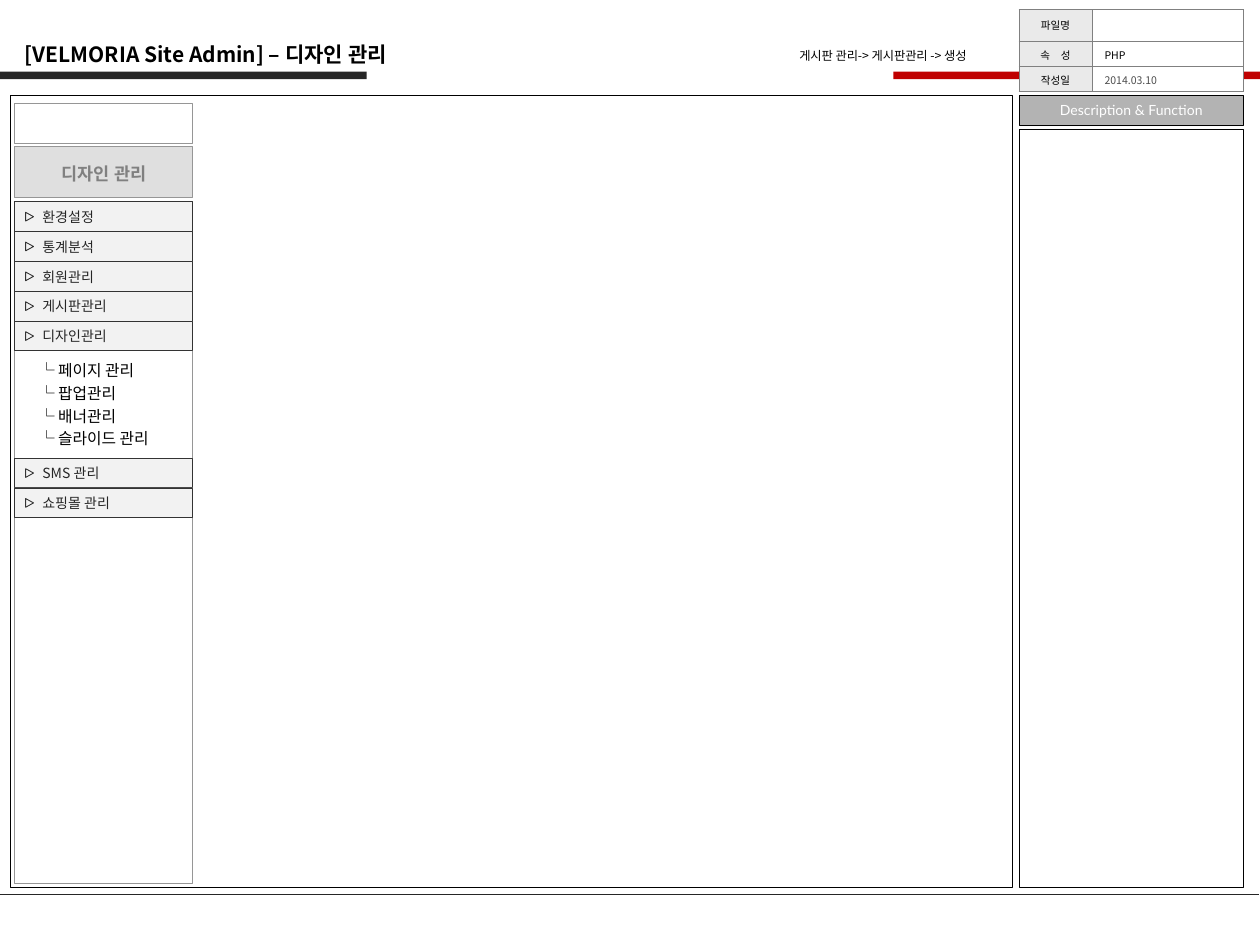
import pptx
import pptx.util
import pptx.dml.color
import pptx.enum.shapes
import pptx.enum.text
import pptx.oxml
import pptx.oxml.ns
from dataclasses import dataclass
from lxml import etree

Pt = pptx.util.Pt
RGB = pptx.dml.color.RGBColor.from_string
SHAPE = pptx.enum.shapes.MSO_SHAPE
ALIGN = pptx.enum.text.PP_ALIGN
MIDDLE = pptx.enum.text.MSO_ANCHOR.MIDDLE
qn = pptx.oxml.ns.qn


@dataclass(frozen=True)
class Theme:
    font: str = "Noto Sans CJK KR"
    latin: str = "Lato"
    black: str = "000000"
    white: str = "FFFFFF"
    dark: str = "262626"
    red: str = "C00000"
    edge: str = "333333"
    frame: str = "969696"
    head: str = "C0C0C0"
    muted: str = "808080"
    item: str = "F2F2F2"
    label: str = "EAEAEA"
    band: str = "B3B3B3"
    date: str = "4D4D4D"
    title: float = 12
    section: float = 10
    sub: float = 9
    menu: float = 8
    crumb: float = 7
    info: float = 6
    hair: float = 0.5


T = Theme()


def block(slide, box, fill=None, line=None, kind=SHAPE.RECTANGLE):
    shape = slide.shapes.add_shape(kind, *map(Pt, box))
    shape.shadow.inherit = False
    if fill:
        shape.fill.solid()
        shape.fill.fore_color.rgb = RGB(fill)
    else:
        shape.fill.background()
    if line:
        shape.line.color.rgb = RGB(line)
        shape.line.width = Pt(T.hair)
    else:
        shape.line.fill.background()
    return shape


def style(par, size, color, bold=False, align=ALIGN.LEFT, name=T.font):
    par.alignment = align
    font = par.font
    font.size, font.bold, font.name = Pt(size), bold, name
    font.color.rgb = RGB(color)
    # Korean glyphs take the East Asian font
    props = par._p.pPr.find(qn("a:defRPr"))
    etree.SubElement(props, qn("a:ea")).set("typeface", name)


def inset(frame, left=7.2, top=3.6, right=7.2, bottom=3.6):
    frame.margin_left, frame.margin_top = Pt(left), Pt(top)
    frame.margin_right, frame.margin_bottom = Pt(right), Pt(bottom)


def label(slide, box, lines, size, color=T.black, wrap=True, space=None, **look):
    frame = slide.shapes.add_textbox(*map(Pt, box)).text_frame
    inset(frame)
    frame.word_wrap = wrap
    frame.text = "\n".join(lines)
    for par in frame.paragraphs:
        if space:
            par.line_spacing = space
        style(par, size, color, **look)


def header(slide, box):
    left, top, width, height = box
    bar, thick = 209.5, 4.3
    base = top + height - thick
    block(slide, (left + width - bar, base, bar, thick), T.red)
    block(slide, (left, base, bar, thick), T.dark)
    label(slide, (left + 7.2, top, 274, 21.6), ["[VELMORIA Site Admin] – 디자인 관리"],
          T.title, bold=True)
    label(slide, (left + 442, top + 3.6, 117.4, 16),
          ["게시판 관리-> 게시판관리 -> 생성"], T.crumb, wrap=False, align=ALIGN.RIGHT)


def entry(slide, box, text):
    left, top, width, height = box
    shape = block(slide, box, T.item, T.edge)
    frame = shape.text_frame
    inset(frame, 15.8, 2.9, 2.9, 2.9)
    frame.vertical_anchor = MIDDLE
    frame.text = text
    style(frame.paragraphs[0], T.menu, T.dark)
    mark = block(slide, (left + 6, top + 6.3, 5, 4.5), T.item, T.edge,
                 SHAPE.ISOSCELES_TRIANGLE)
    mark.rotation = 90


def sidebar(slide, box):
    left, top, width, height = box
    # Logo slot, section heading and menu frame
    block(slide, (left, top, width, 23), T.white, T.frame)
    start = top + 56.3
    block(slide, (left, start, width, height - 56.3), None, T.frame)
    head = block(slide, (left, top + 24.7, width, 29.3), T.head, T.frame)
    tint = head.fill._xPr.find(qn("a:solidFill"))[0]
    etree.SubElement(tint, qn("a:alpha")).set("val", "50000")
    label(slide, (left + 6.2, top + 34, 90, 16), ["디자인 관리"], T.section, T.muted,
          space=0.7, bold=True, align=ALIGN.CENTER)
    # Menu entries, with the open submenu between the two groups
    step = 17.05
    upper = ["환경설정", "통계분석", "회원관리", "게시판관리", "디자인관리"]
    lower = ["SMS 관리", "쇼핑몰 관리"]
    for first, names in ((start, upper), (start + 146.5, lower)):
        for row, name in enumerate(names):
            entry(slide, (left + 0.2, first + row * step, width - 0.2, step), name)
    pages = ["페이지 관리", "팝업관리", "배너관리", "슬라이드 관리"]
    label(slide, (left + 6.9, start + len(upper) * step, 78, 59),
          [f"└ {page}" for page in pages], T.sub, wrap=False, space=1.2)


def edges(cell):
    props = cell._tc.get_or_add_tcPr()
    for spot, side in enumerate(("lnL", "lnR", "lnT", "lnB")):
        line = pptx.oxml.parse_xml(
            f'<a:{side} xmlns:a="http://schemas.openxmlformats.org/drawingml/2006/main"'
            f' w="{Pt(0.34)}"><a:solidFill><a:srgbClr val="{T.muted}"/></a:solidFill>'
            f'</a:{side}>')
        props.insert(spot, line)


def info(slide, box):
    rows = [("파일명", ""), ("속 성", "PHP"), ("작성일", "2014.03.10")]
    grid = slide.shapes.add_table(len(rows), 2, *map(Pt, box)).table
    for col, width in zip(grid.columns, (41.8, box[2] - 41.8)):
        col.width = Pt(width)
    for row, height in zip(grid.rows, (18, 14.5, 14.5)):
        row.height = Pt(height)
    for r, texts in enumerate(rows):
        for c, text in enumerate(texts):
            cell = grid.cell(r, c)
            cell.fill.solid()
            cell.fill.fore_color.rgb = RGB(T.white if c else T.label)
            cell.vertical_anchor = MIDDLE
            inset(cell)
            edges(cell)
            cell.text = text
            par = cell.text_frame.paragraphs[0]
            style(par, T.info, T.date if (r, c) == (2, 1) else T.black,
                  align=ALIGN.LEFT if c else ALIGN.CENTER)
    # Spread the two syllables of the second label
    spread = grid.cell(1, 0).text_frame.paragraphs[0]
    spread._p.pPr.find(qn("a:defRPr")).set("spc", "240")


def notes(slide, box):
    left, top, width, height = box
    block(slide, (left, top + 19.2, width, height - 19.2), None, T.black)
    band = block(slide, (left, top, width, 16.8), T.band, T.black)
    frame = band.text_frame
    inset(frame)
    frame.vertical_anchor = pptx.enum.text.MSO_ANCHOR.TOP
    frame.text = "Description & Function"
    style(frame.paragraphs[0], T.menu, T.white, align=ALIGN.CENTER, name=T.latin)


def footer(slide, box):
    left, top, width, height = box
    rule = slide.shapes.add_connector(pptx.enum.shapes.MSO_CONNECTOR.STRAIGHT,
                                      Pt(left), Pt(top), Pt(left + width), Pt(top))
    rule.line.color.rgb = RGB(T.dark)
    rule.line.width = Pt(0.75)
    etree.SubElement(rule._element.spPr, qn("a:effectLst"))


def main():
    deck = pptx.Presentation()
    deck.slide_width, deck.slide_height = Pt(720), Pt(540)
    slide = deck.slides.add_slide(deck.slide_layouts[6])
    block(slide, (6.1, 54.7, 572.5, 452.5), None, T.black)
    sidebar(slide, (8.2, 59, 102, 446))
    footer(slide, (0, 511.2, 719.5, 0))
    header(slide, (0, 20.2, 720, 25.1))
    notes(slide, (582.4, 54.7, 128.2, 452.5))
    info(slide, (582.2, 5.4, 128.4, 47))
    deck.save("out.pptx")


if __name__ == "__main__":
    main()
